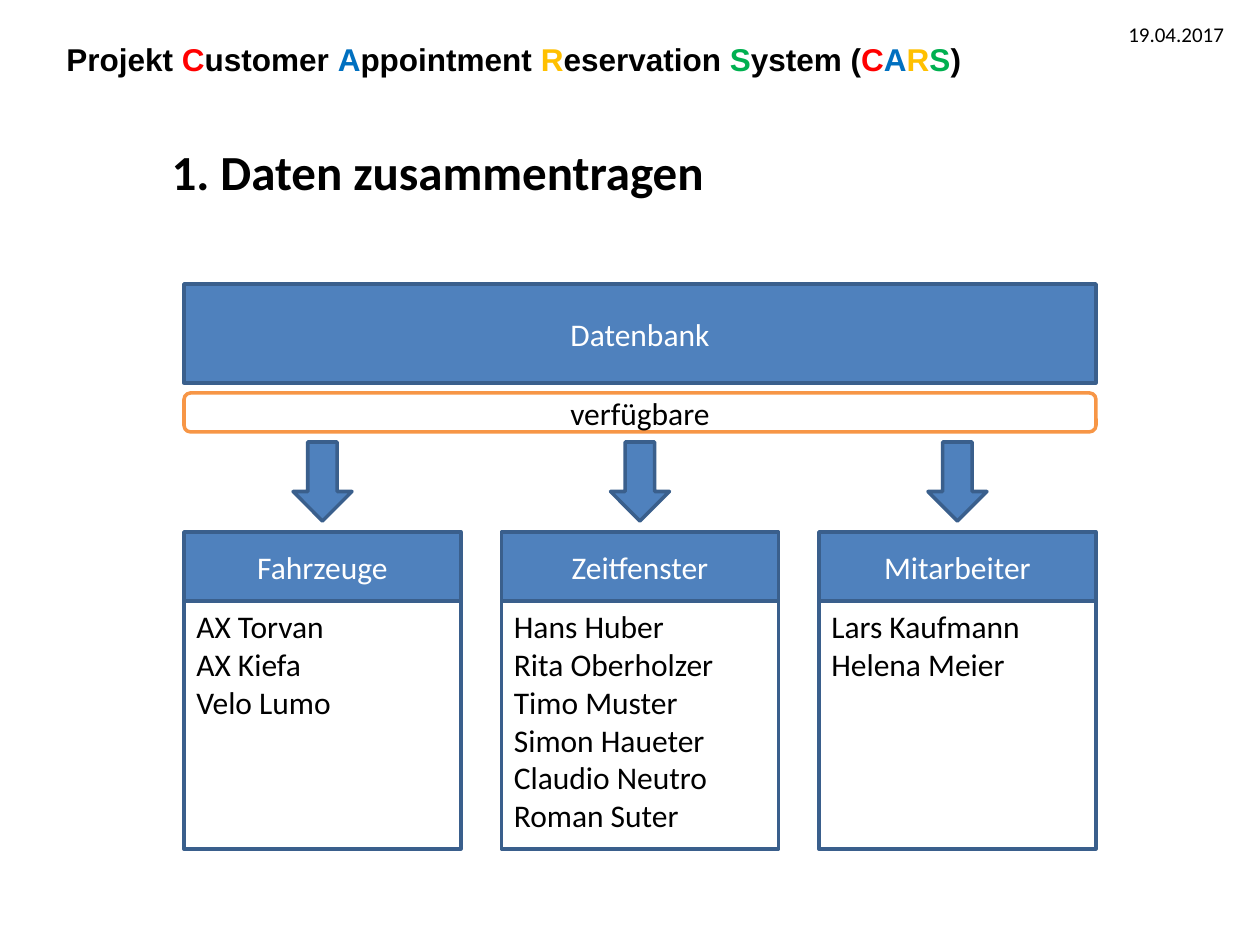
from pptx import Presentation
from pptx.dml.color import RGBColor
from pptx.enum.shapes import MSO_SHAPE as SHAPE
from pptx.enum.text import MSO_ANCHOR as ANCHOR, MSO_AUTO_SIZE as AUTO, PP_ALIGN as ALIGN
from pptx.util import Pt

PX = 914400 / 126
COLORS = {
    "black": "000000", "white": "FFFFFF", "fill": "4F81BD", "line": "3A5F8C",
    "orange": "F79646", "red": "FF0000", "blue": "0070C0", "yellow": "FFC000",
    "green": "00B050",
}


def write(shape, paragraphs, color="black", size=18, align=ALIGN.LEFT,
          anchor=ANCHOR.TOP, font="Calibri", bold=False, wrap=True):
    """Each paragraph is a list of (text, color) runs or a plain string."""
    tf = shape.text_frame
    frame = {"word_wrap": wrap, "auto_size": AUTO.NONE, "vertical_anchor": anchor}
    for name, value in frame.items():
        setattr(tf, name, value)
    for i, runs in enumerate(paragraphs):
        p = tf.add_paragraph() if i else tf.paragraphs[0]
        p.alignment = align
        for text, run_color in [(runs, color)] if isinstance(runs, str) else runs:
            r = p.add_run()
            r.text = text
            for name, value in {"name": font, "size": Pt(size), "bold": bold}.items():
                setattr(r.font, name, value)
            r.font.color.rgb = RGBColor.from_string(COLORS[run_color])


def add_box(kind, box, fill=None, line="line"):
    sp = s.shapes.add_shape(kind, *[round(v * PX) for v in box])
    sp.shadow.inherit = False
    if fill:
        sp.fill.solid()
        sp.fill.fore_color.rgb = RGBColor.from_string(COLORS[fill])
    else:
        sp.fill.background()
    sp.line.color.rgb = RGBColor.from_string(COLORS[line])
    sp.line.width = Pt(2)
    return sp


prs = Presentation()
prs.slide_width, prs.slide_height = round(1260 * PX), round(945 * PX)
s = prs.slides.add_slide(prs.slide_layouts[5])
centered = {"align": ALIGN.CENTER, "anchor": ANCHOR.MIDDLE}

# Title
title = s.shapes.title
for name, value in zip(("left", "top", "width", "height"), (159, 135, 927, 72)):
    setattr(title, name, round(value * PX))
write(title, ["1. Daten zusammentragen"], size=28, bold=True)

# Project name and date
project = [
    ("Projekt ", "black"), ("C", "red"), ("ustomer ", "black"), ("A", "blue"),
    ("ppointment ", "black"), ("R", "yellow"), ("eservation ", "black"),
    ("S", "green"), ("ystem (", "black"), ("C", "red"), ("A", "blue"),
    ("R", "yellow"), ("S", "green"), (")", "black"),
]
header = s.shapes.add_textbox(*[round(v * PX) for v in (54, 34, 1002, 50)])
write(header, [project], font="Arial", bold=True)
date = s.shapes.add_textbox(*[round(v * PX) for v in (1116, 15, 129, 38)])
write(date, ["19.04.2017"], size=12, wrap=False)

# Database and availability bar
LEFT, WIDTH = 184, 912
database = add_box(SHAPE.RECTANGLE, (LEFT, 284, WIDTH, 99), "fill")
write(database, ["Datenbank"], "white", **centered)
available = add_box(SHAPE.ROUNDED_RECTANGLE, (LEFT, 393, WIDTH, 39), line="orange")
write(available, ["verfügbare"], **centered)

# Columns: arrow, heading, list
columns = {
    "Fahrzeuge": ["AX Torvan", "AX Kiefa", "Velo Lumo"],
    "Zeitfenster": ["Hans Huber", "Rita Oberholzer", "Timo Muster",
                    "Simon Haueter", "Claudio Neutro", "Roman Suter"],
    "Mitarbeiter": ["Lars Kaufmann", "Helena Meier"],
}
COLUMN, ARROW = 277, 59
step = (WIDTH - COLUMN) / (len(columns) - 1)
for i, (heading, entries) in enumerate(columns.items()):
    x = LEFT + i * step
    add_box(SHAPE.DOWN_ARROW, (x + (COLUMN - ARROW) / 2, 442, ARROW, 79), "fill")
    head = add_box(SHAPE.RECTANGLE, (x, 532, COLUMN, 69), "fill")
    write(head, [heading], "white", **centered)
    body = add_box(SHAPE.RECTANGLE, (x, 601, COLUMN, 248))
    write(body, entries)

prs.save("out.pptx")
